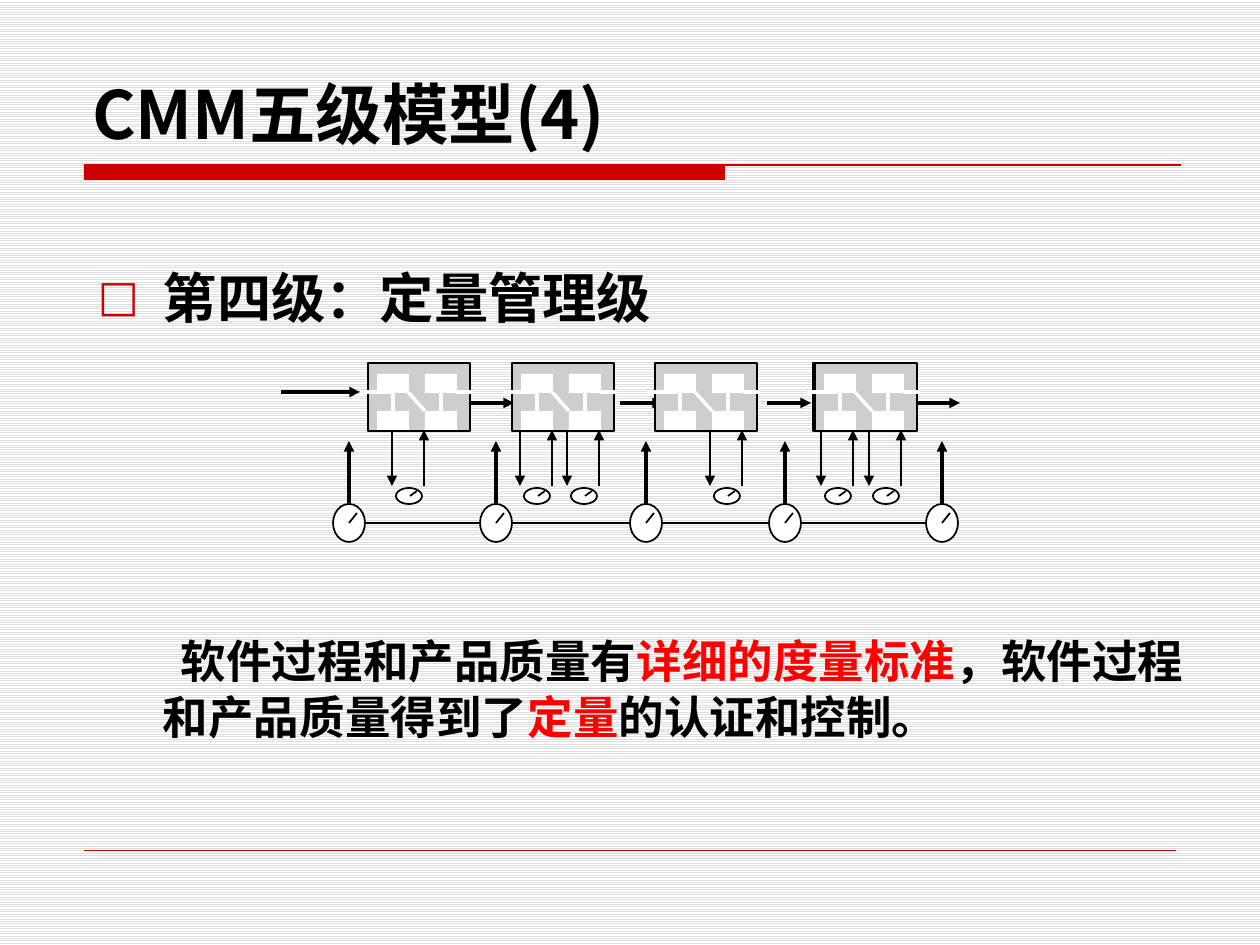
from pptx import Presentation
from pptx import util as u
from pptx.dml import color
from pptx.enum import dml, shapes, text
from pptx.oxml import ns, xmlchemy

BLACK, WHITE, GREY, RED, BRIGHT = "000000", "FFFFFF", "CECECE", "CC0000", "FF0000"
CJK, LATIN = "Noto Sans CJK SC", "DejaVu Sans"

TITLE = [("CMM五级模型(4)", BLACK)]
HEADING = [("第四级：定量管理级", BLACK)]
BODY = [
    ("软件过程和产品质量有", BLACK),
    ("详细的度量标准", BRIGHT),
    ("，软件过程和产品质量得到了", BLACK),
    ("定量", BRIGHT),
    ("的认证和控制。", BLACK),
]

FLOW_ARROWS = [(281, 392, 360), (471, 403, 514), (620, 403, 663),
               (767, 403, 811), (916, 403, 960)]
PROCESS_LEFTS = [368, 512, 655, 815]
PROCESS_TOP, PROCESS_SIZE = 363, (102, 68)
STEP_SIZE = (32, 19)
STEPS = [(x, y) for x in (9, 57) for y in (11, 48)]
STEP_LINKS = [(-8, 29, 25, 29), (25, 29, 25, 48), (40, 29, 57, 48),
              (73, 48, 73, 29), (88, 29, 105, 29)]
MAIN_GAUGES = [349, 496, 646, 785, 942]
MAIN_AXIS = 523
SMALL_GAUGES = [396, 524, 571, 714, 825, 873]


def px(value):
    return u.Emu(round(value * 914400 / 126))


def rgb(value):
    return color.RGBColor.from_string(value)


def xml(parent, tag, **attributes):
    element = xmlchemy.OxmlElement(tag)
    for key, value in attributes.items():
        element.set(key, value)
    parent.append(element)
    return element


def add_shape(owner, kind, left, top, width, height, fill, outline=None):
    shape = owner.shapes.add_shape(kind, *map(px, (left, top, width, height)))
    shape.shadow.inherit = False
    shape.fill.solid()
    shape.fill.fore_color.rgb = rgb(fill)
    if outline:
        shape.line.color.rgb = rgb(outline)
        shape.line.width = u.Pt(1)
    else:
        shape.line.fill.background()


def add_line(owner, x1, y1, x2, y2, width=1, line_color=BLACK, arrow=False):
    connector = owner.shapes.add_connector(
        shapes.MSO_CONNECTOR.STRAIGHT, *map(px, (x1, y1, x2, y2)))
    connector.line.color.rgb = rgb(line_color)
    connector.line.width = u.Pt(width)
    properties = connector.element.spPr
    if arrow:
        xml(properties.find(ns.qn("a:ln")), "a:tailEnd", type="triangle")
    xml(properties, "a:effectLst")


def add_text(slide, box, runs, size, latin, frame_format=None, spacing=None,
             indent=(0, 0), bullet=None):
    frame = slide.shapes.add_textbox(*map(px, box)).text_frame
    settings = {"word_wrap": True, "margin_left": 0, "margin_right": 0,
                "margin_top": 0, "margin_bottom": 0, **(frame_format or {})}
    for name, value in settings.items():
        setattr(frame, name, value)
    paragraph = frame.paragraphs[0]
    if spacing:
        paragraph.line_spacing = u.Pt(spacing)
    properties = paragraph._p.get_or_add_pPr()
    for name, value in zip(("marL", "indent"), indent):
        properties.set(name, str(px(value)))
    if bullet:
        xml(xml(properties, "a:buClr"), "a:srgbClr", val=RED)
        xml(properties, "a:buSzPct", val="80000")
        xml(properties, "a:buFont", typeface=LATIN)
        xml(properties, "a:buChar", char=bullet)
    for words, run_color in runs:
        run = paragraph.add_run()
        run.text = words
        for name, value in {"size": u.Pt(size), "bold": True, "name": latin}.items():
            setattr(run.font, name, value)
        run.font.color.rgb = rgb(run_color)
        xml(run.font._element, "a:ea", typeface=CJK)


def add_process(owner, left):
    add_shape(owner, shapes.MSO_SHAPE.RECTANGLE, left, PROCESS_TOP, *PROCESS_SIZE, GREY, BLACK)
    for x, y in STEPS:
        add_shape(owner, shapes.MSO_SHAPE.RECTANGLE, left + x, PROCESS_TOP + y, *STEP_SIZE, WHITE)
    for x1, y1, x2, y2 in STEP_LINKS:
        add_line(owner, left + x1, PROCESS_TOP + y1, left + x2, PROCESS_TOP + y2, 2, WHITE)


def add_main_gauge(owner, x):
    add_shape(owner, shapes.MSO_SHAPE.OVAL, x - 16, MAIN_AXIS - 19, 32, 38, WHITE, BLACK)
    add_line(owner, x, MAIN_AXIS, x + 8, MAIN_AXIS - 10)


def add_small_gauge(owner, left):
    add_shape(owner, shapes.MSO_SHAPE.OVAL, left, 488, 26, 16, WHITE, BLACK)
    add_line(owner, left + 14, 496, left + 21, 491)
    add_line(owner, left - 4, 430, left - 4, 486, arrow=True)
    add_line(owner, left + 28, 486, left + 28, 430, arrow=True)


def add_diagram(slide):
    group = slide.shapes.add_group_shape()
    for x1, y, x2 in FLOW_ARROWS:
        add_line(group, x1, y, x2, y, 2, arrow=True)
    add_shape(group, shapes.MSO_SHAPE.RECTANGLE, 813, PROCESS_TOP, *PROCESS_SIZE, GREY, BLACK)
    for x in MAIN_GAUGES:
        add_line(group, x, MAIN_AXIS, x, 441, 2, arrow=True)
    add_line(group, MAIN_GAUGES[0], MAIN_AXIS, MAIN_GAUGES[-1], MAIN_AXIS)
    for draw, positions in ((add_main_gauge, MAIN_GAUGES),
                            (add_process, PROCESS_LEFTS),
                            (add_small_gauge, SMALL_GAUGES)):
        for position in positions:
            draw(group, position)


def main():
    presentation = Presentation()
    presentation.slide_width, presentation.slide_height = px(1260), px(945)
    slide = presentation.slides.add_slide(presentation.slide_layouts[6])
    background = slide.background.fill
    background.patterned()
    background.pattern = dml.MSO_PATTERN.LIGHT_HORIZONTAL
    background.fore_color.rgb = rgb("DDDDDD")
    background.back_color.rgb = rgb(WHITE)

    add_shape(slide, shapes.MSO_SHAPE.RECTANGLE, 84, 165, 641, 15, RED)
    add_line(slide, 84, 165, 1181, 165, 0.75, RED)
    add_line(slide, 84, 850, 1176, 850, 0.25, RED)
    add_text(slide, (92, 13, 1077, 140), TITLE, 38, CJK,
             {"vertical_anchor": text.MSO_ANCHOR.BOTTOM})
    add_text(slide, (98, 264, 1109, 80), HEADING, 31, LATIN, indent=(65, -65), bullet="□")
    add_text(slide, (163, 632, 1044, 112), BODY, 26, LATIN, spacing=32, indent=(0, 18))
    add_diagram(slide)
    presentation.save("out.pptx")


if __name__ == "__main__":
    main()
